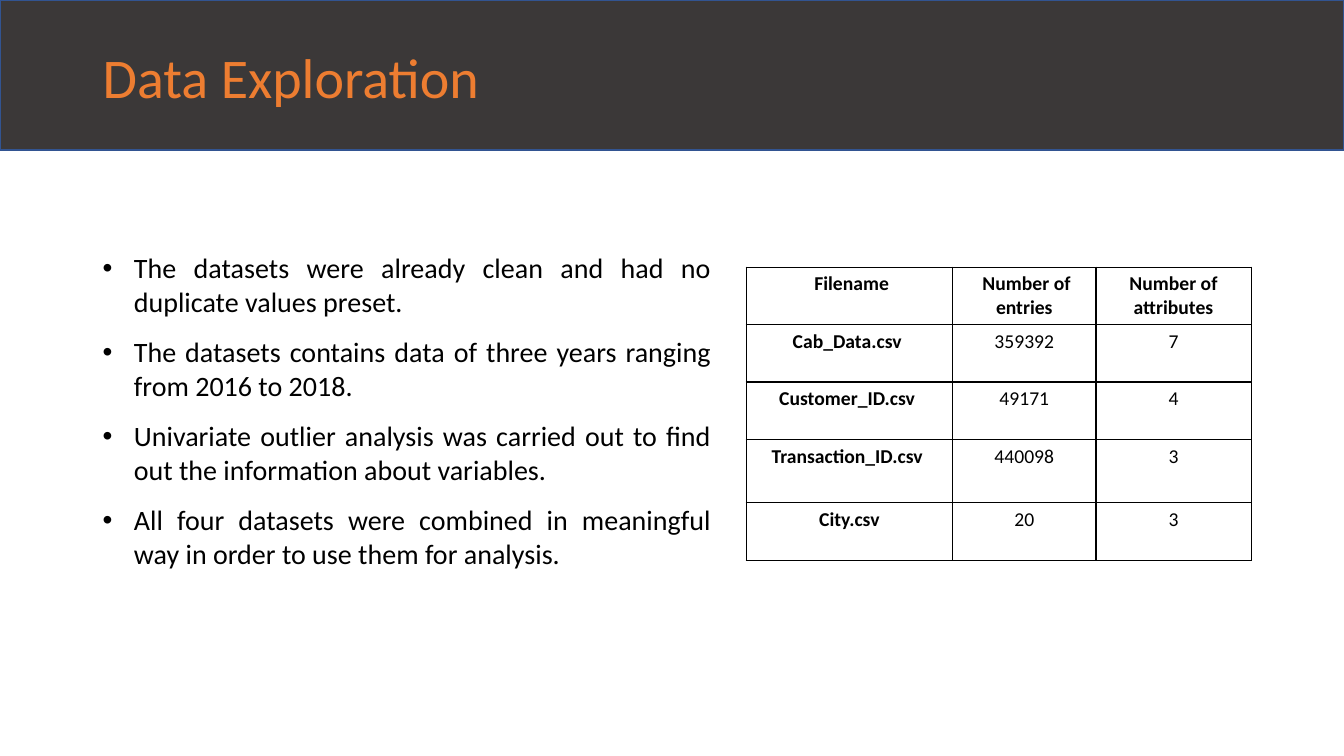
from dataclasses import dataclass

from lxml import etree
from pptx import Presentation
from pptx import util as u
from pptx.dml.color import RGBColor
from pptx.enum import shapes, text
from pptx.oxml import ns

WIDTH, HEIGHT = u.Inches(13.33), u.Inches(7.5)
FONT = "Calibri"
COLORS = {"band": "3B3838", "edge": "325491", "title": "ED7D31",
          "ink": "000000", "paper": "FFFFFF"}
FINDINGS = [
    "The datasets were already clean and had no duplicate values preset.",
    "The datasets contains data of three years ranging from 2016 to 2018.",
    "Univariate outlier analysis was carried out to find out the information about variables. ",
    "All four datasets were combined in meaningful way in order to use them for analysis. ",
]
DATASETS = [
    (" Filename", " Number of entries", "Number of attributes"),
    ("Cab_Data.csv ", "359392", "7"),
    ("Customer_ID.csv ", "49171", "4"),
    ("Transaction_ID.csv ", "440098", "3"),
    ("City.csv", "20", "3"),
]
COLUMN_WIDTHS = (2.05, 1.42, 1.54)
ROW_HEIGHTS = (0.57, 0.57, 0.57, 0.63, 0.57)


@dataclass(frozen=True)
class Area:
    """A rectangle given as shares of the slide's width and height."""
    left: float
    top: float
    width: float
    height: float

    def emu(self) -> tuple[int, int, int, int]:
        """Return the rectangle in slide units."""
        return (int(self.left * WIDTH), int(self.top * HEIGHT),
                int(self.width * WIDTH), int(self.height * HEIGHT))


BAND = Area(0, 0, 1, 1.49 / 7.5)
TITLE = Area(0.92 / 13.33, 0.07 / 7.5, 11.5 / 13.33, 1.45 / 7.5)
BODY = Area(0.92 / 13.33, 2.44 / 7.5, 6.23 / 13.33, 3.3 / 7.5)
GRID = Area(7.4 / 13.33, 2.65 / 7.5, 5.02 / 13.33, 2.89 / 7.5)


def rgb(name: str) -> RGBColor:
    """Look up a named colour."""
    return RGBColor.from_string(COLORS[name])


def style(para, size: float, color: str, bold: bool = False) -> None:
    """Format every run of a paragraph."""
    for span in para.runs:
        span.font.name, span.font.size = FONT, u.Pt(size)
        span.font.bold, span.font.color.rgb = bold, rgb(color)


def add_bullet(para) -> None:
    """Give a paragraph a round bullet with a hanging indent."""
    props = para._p.get_or_add_pPr()
    props.set("marL", str(u.Inches(0.31)))
    props.set("indent", str(-u.Inches(0.31)))
    etree.SubElement(props, ns.qn("a:buFont"), typeface="Arial")
    etree.SubElement(props, ns.qn("a:buChar"), char="•")


def add_borders(cell) -> None:
    """Draw a thin line on all four sides of a cell."""
    props = cell._tc.get_or_add_tcPr()
    for side in ("lnL", "lnR", "lnT", "lnB"):
        line = etree.SubElement(props, ns.qn(f"a:{side}"), w=str(u.Pt(1)))
        fill = etree.SubElement(line, ns.qn("a:solidFill"))
        etree.SubElement(fill, ns.qn("a:srgbClr"), val=COLORS["ink"])


def add_findings(page) -> None:
    """Add the justified bullet list."""
    box = page.shapes.add_textbox(*BODY.emu())
    box.line.color.rgb, box.line.width = rgb("paper"), u.Pt(2.25)
    frame = box.text_frame
    frame.word_wrap = True
    frame.text = "\n".join(FINDINGS)
    for para in frame.paragraphs:
        para.alignment = text.PP_ALIGN.JUSTIFY
        para.space_before = u.Pt(12)
        add_bullet(para)
        style(para, 20, "ink")


def add_header(page) -> None:
    """Add the dark band and the slide title on it."""
    band = page.shapes.add_shape(shapes.MSO_SHAPE.RECTANGLE, *BAND.emu())
    band.shadow.inherit = False
    band.fill.solid()
    band.fill.fore_color.rgb = rgb("band")
    band.line.color.rgb, band.line.width = rgb("edge"), u.Pt(1)
    frame = page.shapes.add_textbox(*TITLE.emu()).text_frame
    frame.word_wrap = True
    frame.vertical_anchor = text.MSO_ANCHOR.MIDDLE
    frame.text = "Data Exploration"
    frame.paragraphs[0].line_spacing = 0.9
    style(frame.paragraphs[0], 40, "title")


def add_datasets(page) -> None:
    """Add the table of files with their sizes."""
    table = page.shapes.add_table(len(DATASETS), len(COLUMN_WIDTHS), *GRID.emu()).table
    table.first_row = table.horz_banding = False
    for column, width in zip(table.columns, COLUMN_WIDTHS):
        column.width = u.Inches(width)
    for row, height in zip(table.rows, ROW_HEIGHTS):
        row.height = u.Inches(height)
    for r, values in enumerate(DATASETS):
        for c, value in enumerate(values):
            cell = table.cell(r, c)
            cell.text = value
            add_borders(cell)
            cell.fill.background()
            para = cell.text_frame.paragraphs[0]
            para.alignment = text.PP_ALIGN.CENTER
            style(para, 14, "ink", bold=r == 0 or c == 0)


deck = Presentation()
deck.slide_width, deck.slide_height = WIDTH, HEIGHT
page = deck.slides.add_slide(deck.slide_layouts[6])
add_findings(page)
add_header(page)
add_datasets(page)
deck.save("out.pptx")
